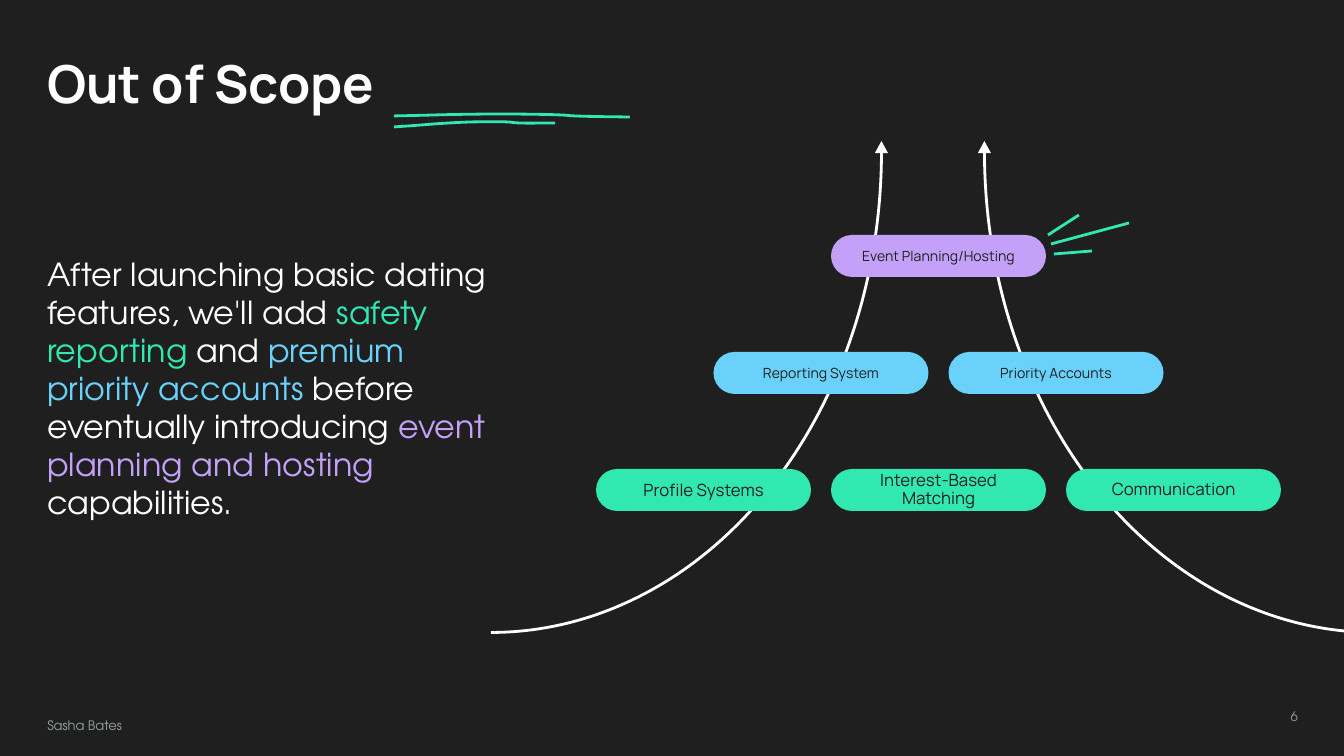
from lxml.etree import SubElement
from pptx import Presentation
from pptx.dml.color import RGBColor
from pptx.enum.shapes import MSO_CONNECTOR, MSO_SHAPE
from pptx.enum.text import MSO_ANCHOR, PP_ALIGN
from pptx.oxml.ns import qn
from pptx.util import Emu, Pt

DARK = RGBColor(0x1F, 0x1F, 0x1F)
WHITE = RGBColor(0xFF, 0xFF, 0xFF)
GRAY = RGBColor(0x93, 0xA2, 0xA2)
GREEN = RGBColor(0x30, 0xE8, 0xB0)
BLUE = RGBColor(0x6A, 0xD1, 0xFA)
PURPLE = RGBColor(0xC3, 0xA1, 0xF8)
HEADING_FONT, BODY_FONT = "Manrope", "TeX Gyre Adventor"

TITLE = [("Out of Scope", WHITE)]
SUMMARY = [
    ("After launching basic dating features, we'll add ", WHITE),
    ("safety reporting", GREEN),
    (" and ", WHITE),
    ("premium priority accounts", BLUE),
    (" before eventually introducing ", WHITE),
    ("event planning and hosting", PURPLE),
    (" capabilities.", WHITE),
]
AUTHOR = [("Sasha Bates", GRAY)]
PAGE_NUMBER = [("6", GRAY)]

# Pyramid rows from the top: colour, text size, labels
ROWS = [
    (PURPLE, 7.5, ["Event Planning/Hosting"]),
    (BLUE, 7.5, ["Reporting System", "Priority Accounts"]),
    (GREEN, 9, ["Profile Systems", "Interest-Based Matching", "Communication"]),
]
PILL_WIDTH, PILL_HEIGHT = 215, 42
COLUMN_STEP, ROW_STEP = 235, 117
PYRAMID_LEFT, PYRAMID_TOP = 596, 235

# Arc left, rotation, mirrored, arrowhead left
CURVES = [(10, 90, False, 875), (894, 270, True, 978)]
RAYS = [((1048, 235), (1079, 215)), ((1051, 244), (1129, 223)), ((1054, 254), (1092, 251))]
# Each stroke: start, then cubic curves of two controls and an end
STROKES = [
    ((394, 127), [((425, 125), (441, 123), (472, 122)), ((540, 121), (485, 124), (555, 123))]),
    ((394, 116), [((438, 115), (464, 114), (508, 114)), ((609, 115), (527, 116), (630, 117))]),
]


def px(value):
    return Emu(round(value * 914400 / 134.4))


def add_text(left, top, width, height, spans, font, size, bold=False,
             align=PP_ALIGN.LEFT, spacing=None):
    frame = page.shapes.add_textbox(px(left), px(top), px(width), px(height)).text_frame
    frame.word_wrap = True
    frame.margin_left = frame.margin_right = frame.margin_top = frame.margin_bottom = px(13.44)
    paragraph = frame.paragraphs[0]
    paragraph.alignment = align
    paragraph.line_spacing = spacing
    for text, color in spans:
        span = paragraph.add_run()
        span.text = text
        span.font.name, span.font.size, span.font.bold = font, Pt(size), bold
        span.font.color.rgb = color


def add_shape(kind, left, top, width, height, fill=None):
    shape = page.shapes.add_shape(kind, px(left), px(top), px(width), px(height))
    shape.shadow.inherit = False
    if fill is None:
        shape.fill.background()
    else:
        shape.fill.solid()
        shape.fill.fore_color.rgb = fill
        shape.line.fill.background()
    return shape


def set_line(shape, color):
    shape.line.color.rgb = color
    shape.line.width = Pt(1.5)


def mirror(shape):
    shape.element.spPr.find(qn("a:xfrm")).set("flipH", "1")


def add_pill(left, top, label, size, color):
    pill = add_shape(MSO_SHAPE.ROUNDED_RECTANGLE, left, top, PILL_WIDTH, PILL_HEIGHT, color)
    pill.adjustments[0] = 0.5
    frame = pill.text_frame
    frame.word_wrap = True
    frame.vertical_anchor = MSO_ANCHOR.MIDDLE
    frame.margin_left = frame.margin_right = frame.margin_top = frame.margin_bottom = px(13.44)
    frame.text = label
    paragraph = frame.paragraphs[0]
    paragraph.alignment = PP_ALIGN.CENTER
    paragraph.line_spacing = 0.9 if size == 9 and label != "Profile Systems" else None
    font = paragraph.runs[0].font
    font.name, font.size = HEADING_FONT, Pt(size)
    font.color.rgb = DARK


def curve_points(start, curves, steps=12):
    """Sample joined cubic Bezier curves, leaving out the start point."""
    points = []
    for first, second, end in curves:
        for step in range(1, steps + 1):
            t = step / steps
            weights = ((1 - t) ** 3, 3 * t * (1 - t) ** 2, 3 * t * t * (1 - t), t ** 3)
            corners = (start, first, second, end)
            points.append(tuple(px(sum(w * corner[axis] for w, corner in zip(weights, corners)))
                                for axis in (0, 1)))
        start = end
    return points


deck = Presentation()
deck.slide_width, deck.slide_height = px(1344), px(756)
page = deck.slides.add_slide(deck.slide_layouts[6])
page.background.fill.solid()
page.background.fill.fore_color.rgb = DARK

add_text(988, 701, 323, 43, PAGE_NUMBER, BODY_FONT, 7, align=PP_ALIGN.RIGHT)
add_text(34, 38, 839, 90, TITLE, HEADING_FONT, 28, bold=True)
add_text(34, 241, 493, 448, SUMMARY, BODY_FONT, 17)

for arc_left, rotation, mirrored, head_left in CURVES:
    arc = add_shape(MSO_SHAPE.ARC, arc_left, -239, 962, 781)
    arc.rotation = rotation
    set_line(arc, WHITE)
    arrowhead = add_shape(MSO_SHAPE.ISOSCELES_TRIANGLE, head_left, 141, 13, 12, WHITE)
    if mirrored:
        mirror(arc)
        mirror(arrowhead)

for row, (color, size, labels) in enumerate(ROWS):
    row_left = PYRAMID_LEFT + (len(ROWS) - len(labels)) * COLUMN_STEP / 2
    for column, label in enumerate(labels):
        add_pill(row_left + column * COLUMN_STEP, PYRAMID_TOP + row * ROW_STEP,
                 label, size, color)

for begin, end in RAYS:
    ray = page.shapes.add_connector(MSO_CONNECTOR.STRAIGHT, *map(px, begin + end))
    set_line(ray, GREEN)
    SubElement(ray.element.spPr, qn("a:effectLst"))

for start, curves in STROKES:
    builder = page.shapes.build_freeform(px(start[0]), px(start[1]))
    builder.add_line_segments(curve_points(start, curves), close=False)
    stroke = builder.convert_to_shape()
    stroke.shadow.inherit = False
    stroke.fill.background()
    set_line(stroke, GREEN)

add_text(34, 706, 164, 46, AUTHOR, BODY_FONT, 7, spacing=1.15)

deck.save("out.pptx")
